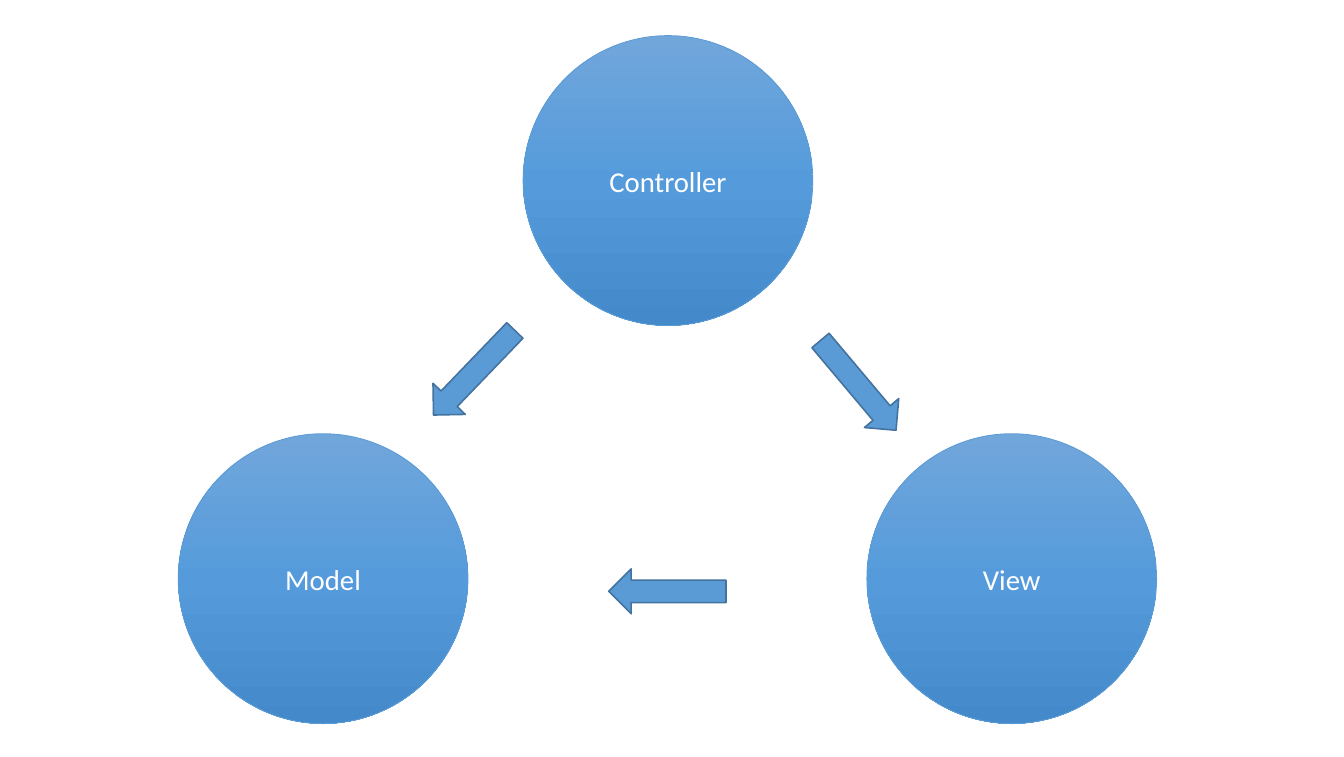
"""Draw the controller, view and model circles with the arrows between them."""
import copy
from dataclasses import dataclass

import pptx
import pptx.dml.color
import pptx.enum.shapes
import pptx.enum.text
import pptx.oxml.ns
import pptx.shapes.autoshape
import pptx.slide
import pptx.util

Inches = pptx.util.Inches
Pt = pptx.util.Pt
RGBColor = pptx.dml.color.RGBColor
MSO_SHAPE = pptx.enum.shapes.MSO_SHAPE

WHITE = RGBColor(0xFF, 0xFF, 0xFF)
BLUE = RGBColor(0x5B, 0x9B, 0xD5)
DARK_BLUE = RGBColor(0x43, 0x73, 0x9E)
GRADIENT = (
    (0, RGBColor(0x71, 0xA6, 0xDB)),
    (0.5, RGBColor(0x55, 0x9B, 0xDB)),
    (1, RGBColor(0x44, 0x8A, 0xCA)),
)

DIAMETER = 2.52
ARROW_WIDTH, ARROW_LENGTH = 0.39, 1.02


@dataclass(frozen=True)
class Role:
    label: str
    left: float
    top: float


@dataclass(frozen=True)
class Arrow:
    left: float
    top: float
    rotation: float


ROLES = (
    Role("Controller", 4.55, 0.31),
    Role("View", 7.54, 3.77),
    Role("Model", 1.55, 3.77),
)
ARROWS = (
    Arrow(3.93, 2.73, 43.9),
    Arrow(7.27, 2.84, 319.9),
    Arrow(5.61, 4.63, 90),
)


def fill_with_gradient(circle: pptx.shapes.autoshape.Shape) -> None:
    """Fill the circle from light at the top to dark at the bottom."""
    circle.fill.gradient()
    circle.fill.gradient_angle = 270
    stop_list = circle.element.spPr.find(".//" + pptx.oxml.ns.qn("a:gsLst"))
    stop_list.append(copy.deepcopy(stop_list[0]))
    for stop, (position, color) in zip(circle.fill.gradient_stops, GRADIENT):
        stop.position = position
        stop.color.rgb = color


def draw_role(slide: pptx.slide.Slide, role: Role) -> None:
    """Draw one labelled circle."""
    circle = slide.shapes.add_shape(
        MSO_SHAPE.OVAL, Inches(role.left), Inches(role.top), Inches(DIAMETER), Inches(DIAMETER)
    )
    circle.shadow.inherit = False
    fill_with_gradient(circle)
    circle.line.color.rgb = BLUE
    circle.line.width = Pt(0.5)
    circle.text_frame.text = role.label
    circle.text_frame.vertical_anchor = pptx.enum.text.MSO_ANCHOR.MIDDLE
    label = circle.text_frame.paragraphs[0]
    label.alignment = pptx.enum.text.PP_ALIGN.CENTER
    font = label.runs[0].font
    font.name = "Calibri"
    font.size = Pt(18)
    font.color.rgb = WHITE


def draw_arrow(slide: pptx.slide.Slide, arrow: Arrow) -> None:
    """Draw one rotated block arrow."""
    block = slide.shapes.add_shape(
        MSO_SHAPE.DOWN_ARROW,
        Inches(arrow.left),
        Inches(arrow.top),
        Inches(ARROW_WIDTH),
        Inches(ARROW_LENGTH),
    )
    block.rotation = arrow.rotation
    block.shadow.inherit = False
    block.fill.solid()
    block.fill.fore_color.rgb = BLUE
    block.line.color.rgb = DARK_BLUE
    block.line.width = Pt(1)


def main() -> None:
    """Build and save the slide."""
    deck = pptx.Presentation()
    deck.slide_width = Inches(11.69)
    deck.slide_height = Inches(6.58)
    slide = deck.slides.add_slide(deck.slide_layouts[6])
    for role in ROLES:
        draw_role(slide, role)
    for arrow in ARROWS:
        draw_arrow(slide, arrow)
    deck.save("out.pptx")


if __name__ == "__main__":
    main()
